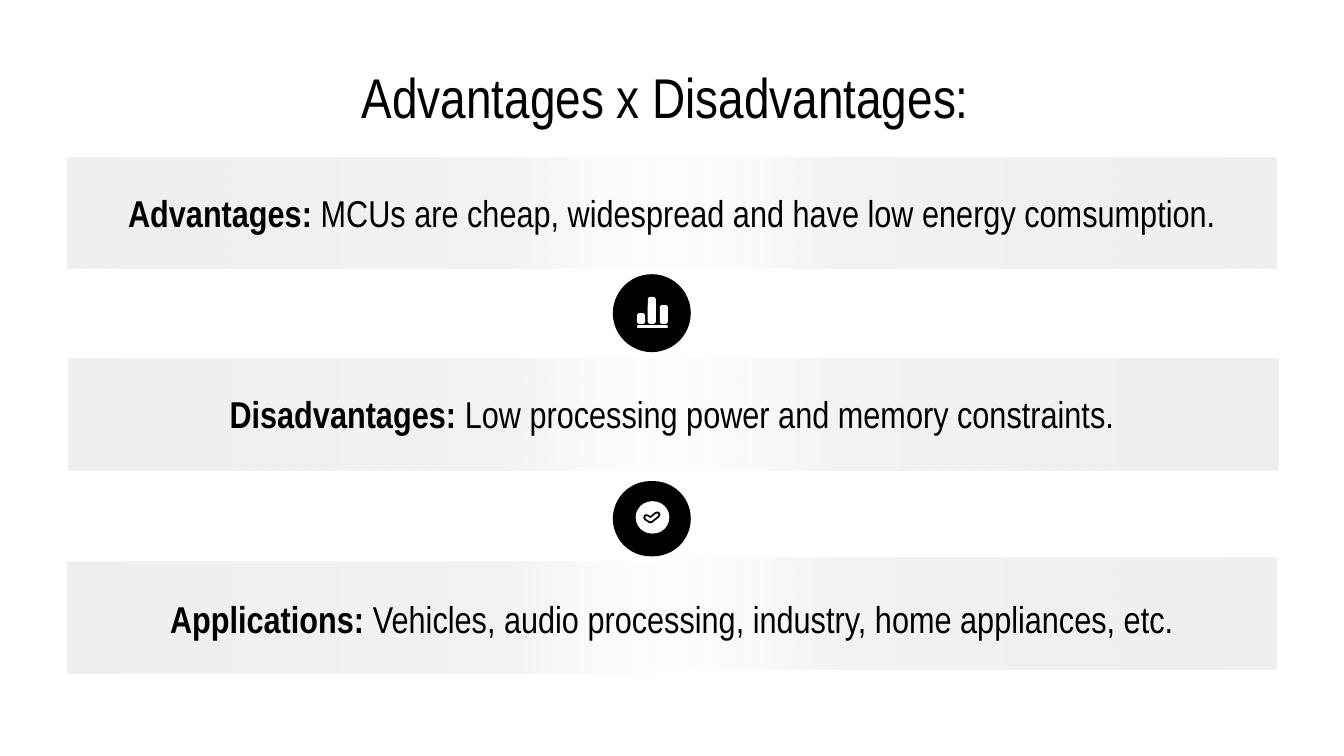
import dataclasses
import typing

import lxml.etree
import pptx
import pptx.dml.color
import pptx.enum.shapes
import pptx.enum.text
import pptx.oxml.ns
import pptx.util

PX = 9144
FONT = "Arial Narrow"
BLACK = "000000"
WHITE = "FFFFFF"
FADE_STOPS = ((0, "EFEFEF", 100), (64, "F3F3F3", 100), (100, WHITE, 0))
HALF_WIDTH = 505
BAND_HEIGHT = 83
CHECK_POINTS = ((481, 385), (484, 387), (489, 383))


@dataclasses.dataclass
class Box:
    left: int
    top: int
    width: int
    height: int

    def emu(self) -> tuple[int, ...]:
        return tuple(length * PX for length in dataclasses.astuple(self))


@dataclasses.dataclass
class Band:
    left_half: tuple[int, int]
    right_half: tuple[int, int]
    text_box: Box
    label: str
    detail: str


BANDS = (
    Band((50, 117), (445, 117), Box(61, 127, 878, 62), "Advantages: ",
         "MCUs are cheap, widespread and have low energy comsumption."),
    Band((51, 267), (446, 267), Box(151, 277, 698, 62), "Disadvantages: ",
         "Low processing power and memory constraints."),
    Band((50, 418), (445, 415), Box(93, 429, 814, 62), "Applications: ",
         "Vehicles, audio processing, industry, home appliances, etc."),
)
BADGES = (Box(456, 204, 58, 58), Box(456, 358, 58, 56))
CHART_BARS = (Box(474, 233, 6, 8), Box(482, 221, 6, 20), Box(491, 227, 6, 14))
CHART_BASE = Box(474, 242, 23, 2)
CHECK_DISC = Box(473, 373, 25, 24)


def color(value: str) -> pptx.dml.color.RGBColor:
    return pptx.dml.color.RGBColor.from_string(value)


def add_plain_shape(page: typing.Any, kind: typing.Any, box: Box) -> typing.Any:
    shape = page.shapes.add_shape(kind, *box.emu())
    shape.shadow.inherit = False
    shape.line.fill.background()
    return shape


def add_rounded(page: typing.Any, box: Box, fill: str, rounding: float) -> None:
    shape = add_plain_shape(page, pptx.enum.shapes.MSO_SHAPE.ROUNDED_RECTANGLE, box)
    shape.adjustments[0] = rounding
    shape.fill.solid()
    shape.fill.fore_color.rgb = color(fill)


def add_fade(page: typing.Any, corner: tuple[int, int], rotation: int) -> None:
    box = Box(*corner, HALF_WIDTH, BAND_HEIGHT)
    shape = add_plain_shape(page, pptx.enum.shapes.MSO_SHAPE.RECTANGLE, box)
    shape.rotation = rotation
    shape.fill.gradient()
    shape.fill.gradient_angle = 180
    qn = pptx.oxml.ns.qn
    stops = next(shape._element.spPr.iter(qn("a:gsLst")))
    for stop in list(stops):
        stops.remove(stop)
    for position, value, opacity in FADE_STOPS:
        stop = lxml.etree.SubElement(stops, qn("a:gs"), pos=str(position * 1000))
        tone = lxml.etree.SubElement(stop, qn("a:srgbClr"), val=value)
        lxml.etree.SubElement(tone, qn("a:alpha"), val=str(opacity * 1000))


def prepare_text(frame: typing.Any) -> typing.Any:
    frame.word_wrap = True
    frame.auto_size = pptx.enum.text.MSO_AUTO_SIZE.NONE
    frame.vertical_anchor = pptx.enum.text.MSO_ANCHOR.MIDDLE
    frame.margin_left = frame.margin_right = 10 * PX
    frame.margin_top = frame.margin_bottom = 10 * PX
    para = frame.paragraphs[0]
    para.alignment = pptx.enum.text.PP_ALIGN.CENTER
    return para


def format_span(span: typing.Any, size: int, bold: bool) -> None:
    span.font.name = FONT
    span.font.size = pptx.util.Pt(size)
    span.font.bold = bold
    span.font.color.rgb = color(BLACK)


def set_title(page: typing.Any, box: Box, text: str) -> None:
    title = page.shapes.title
    title.left, title.top, title.width, title.height = box.emu()
    title.text_frame.text = text
    para = prepare_text(title.text_frame)
    format_span(para.runs[0], 30, False)


def add_band(page: typing.Any, band: Band) -> None:
    add_fade(page, band.left_half, 180)
    add_fade(page, band.right_half, 0)
    para = prepare_text(page.shapes.add_textbox(*band.text_box.emu()).text_frame)
    for text, bold in ((band.label, True), (band.detail, False)):
        span = para.add_run()
        span.text = text
        format_span(span, 20, bold)


def add_check(page: typing.Any, stroke: str, width: float) -> None:
    builder = page.shapes.build_freeform(*CHECK_POINTS[0], scale=PX)
    builder.add_line_segments(CHECK_POINTS[1:], close=False)
    check = builder.convert_to_shape()
    check.shadow.inherit = False
    check.fill.background()
    check.line.color.rgb = color(stroke)
    check.line.width = pptx.util.Pt(width)
    outline = check._element.spPr.find(pptx.oxml.ns.qn("a:ln"))
    outline.set("cap", "rnd")
    lxml.etree.SubElement(outline, pptx.oxml.ns.qn("a:round"))


def main() -> None:
    deck = pptx.Presentation()
    deck.slide_width = 1000 * PX
    deck.slide_height = deck.slide_width * 9 // 16
    page = deck.slides.add_slide(deck.slide_layouts[5])
    set_title(page, Box(50, 45, 900, 53), "Advantages x Disadvantages: ")
    for band in BANDS:
        add_band(page, band)
    for badge in BADGES:
        add_rounded(page, badge, BLACK, 0.5)
    for bar in CHART_BARS:
        add_rounded(page, bar, WHITE, 0.3)
    add_rounded(page, CHART_BASE, WHITE, 0.5)
    add_rounded(page, CHECK_DISC, WHITE, 0.5)
    add_check(page, BLACK, 3.5)
    add_check(page, WHITE, 1.5)
    deck.save("out.pptx")


if __name__ == "__main__":
    main()
